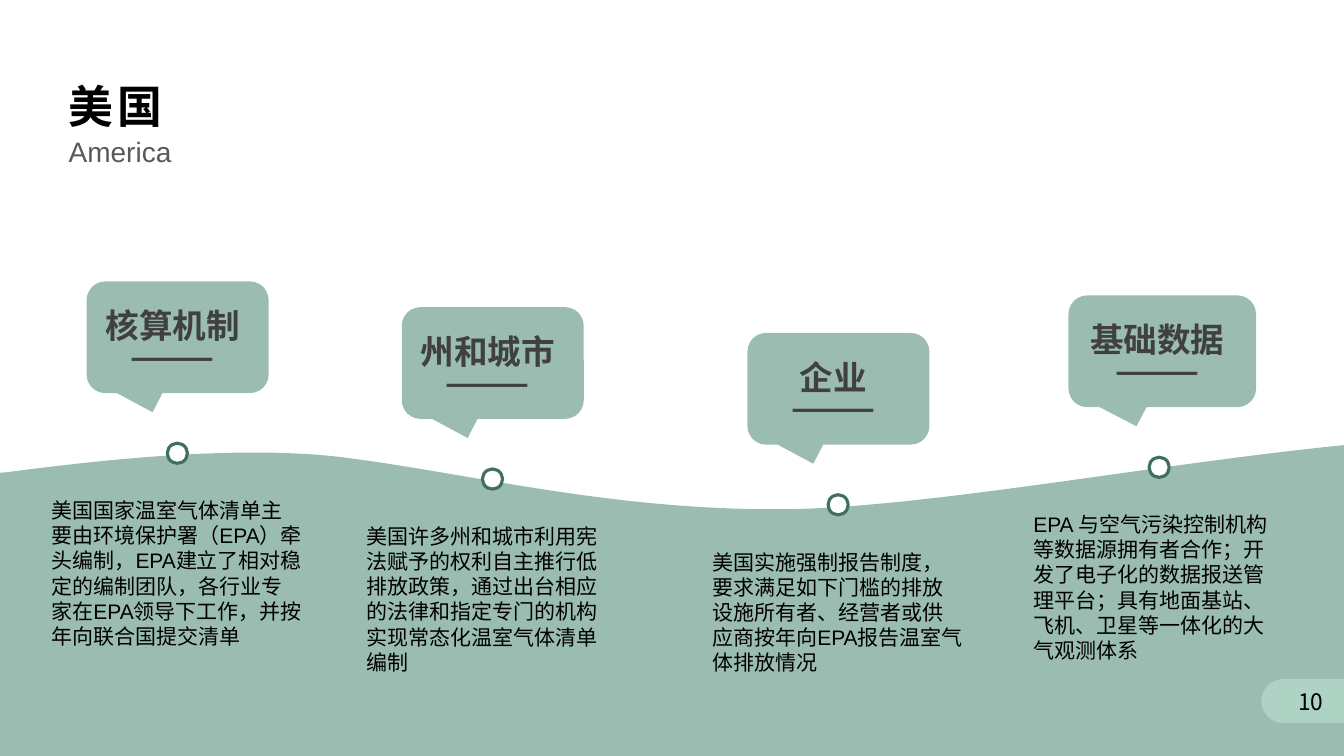
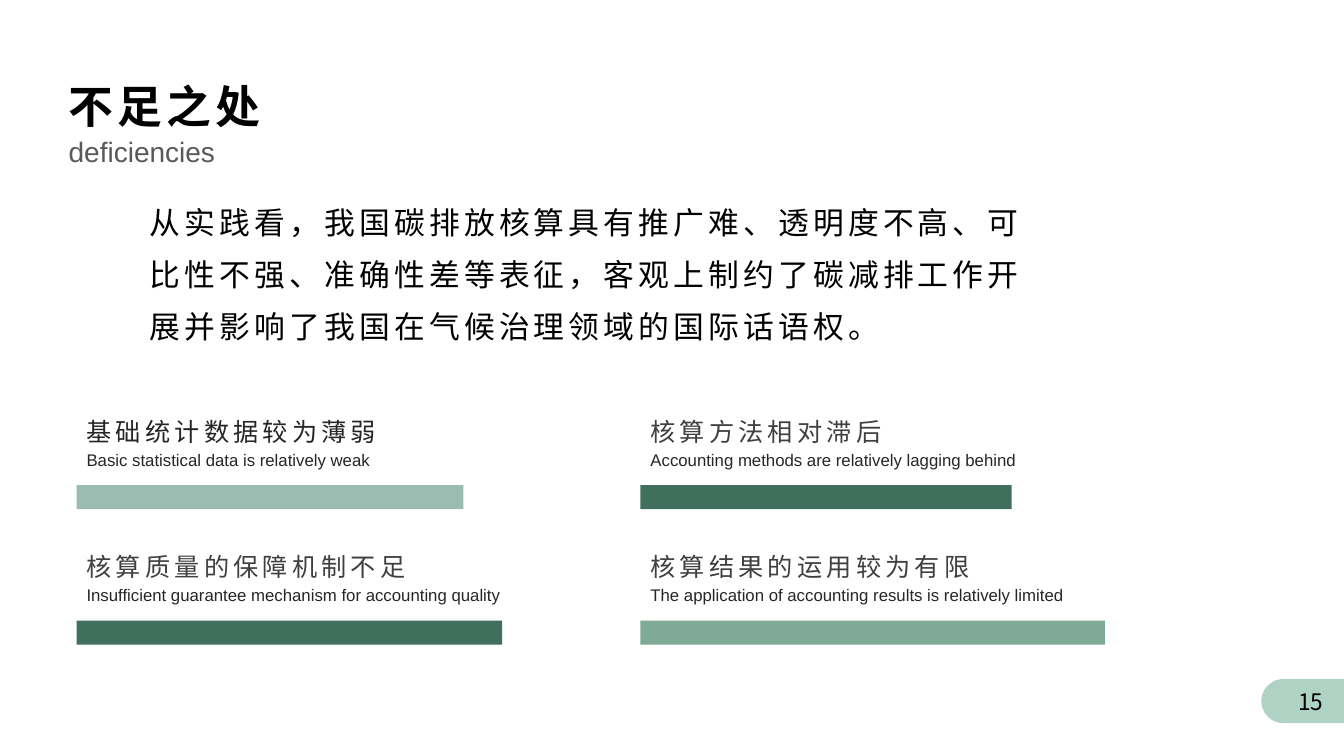
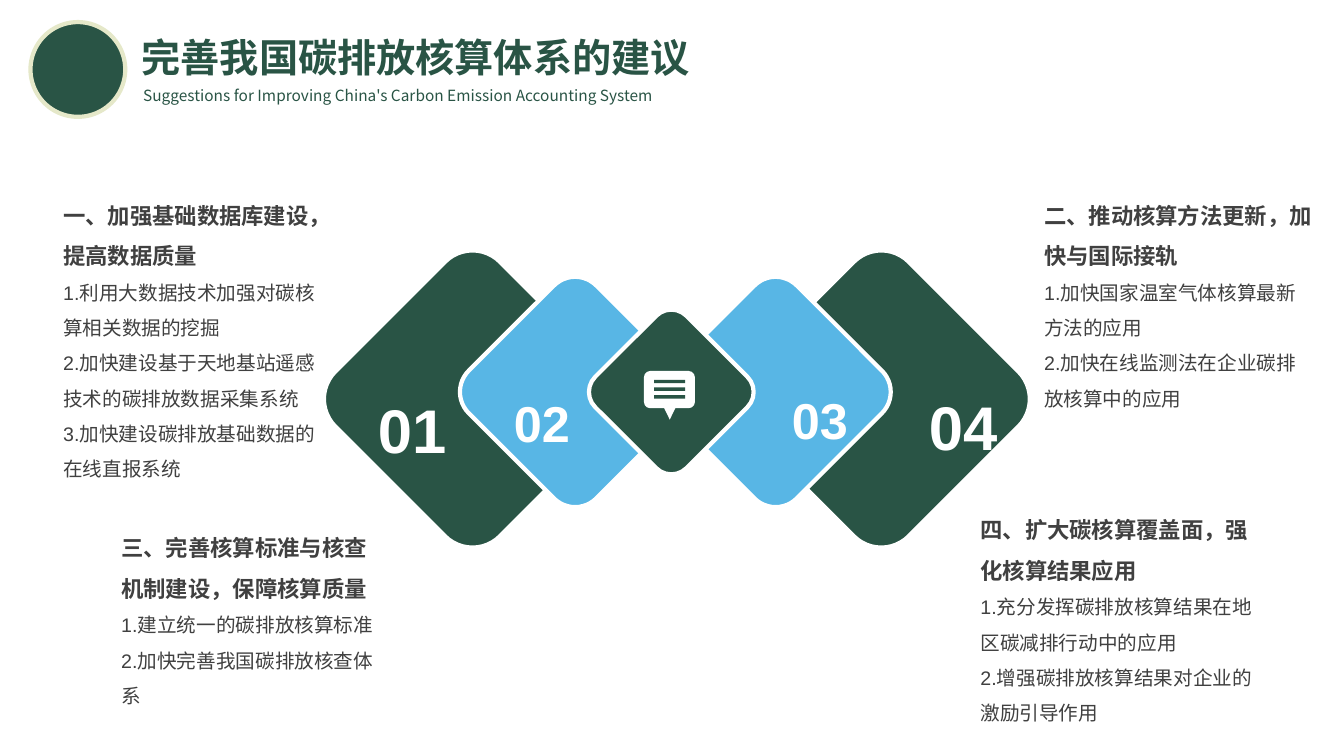
import lxml.etree
import pptx
import pptx.dml.color
import pptx.enum.shapes
import pptx.enum.text
import pptx.oxml.ns
import pptx.util

Pt = pptx.util.Pt
SHAPE = pptx.enum.shapes.MSO_SHAPE
ALIGN = pptx.enum.text.PP_ALIGN
ANCHOR = pptx.enum.text.MSO_ANCHOR

WIDTH, HEIGHT = 960, 540
SAGE, FOREST, MOSS, MINT = "9ABCB1", "40705D", "7FAA98", "AED3C5"
PINE, SKY, CREAM = "295445", "58B6E5", "E5E8C9"
BLACK, INK, GREY, MUTED, WHITE = "000000", "262626", "404040", "595959", "FFFFFF"
SANS, MONO = "Arial", "Courier New"
HAN, HAN_TITLE = "Noto Sans CJK SC", "Noto Sans CJK TC"


def paint(fill, colour):
    fill.solid()
    fill.fore_color.rgb = pptx.dml.color.RGBColor.from_string(colour)


def assign(target, values):
    for name, value in values.items():
        setattr(target, name, value)


def finish(shape, fill, line=None, weight=1):
    shape.shadow.inherit = False
    paint(shape.fill, fill)
    if line:
        paint(shape.line.fill, line)
        shape.line.width = Pt(weight)
    else:
        shape.line.fill.background()
    return shape


def draw(page, kind, box, fill, line=None, weight=1, turn=0, adjust=()):
    shape = page.shapes.add_shape(kind, *[Pt(length) for length in box])
    shape.rotation = turn
    for index, value in enumerate(adjust):
        shape.adjustments[index] = value
    return finish(shape, fill, line, weight)


def fill_text(shape, paras, font=SANS, colour=BLACK, leading=1, fixed=True,
              spread=0, align=ALIGN.LEFT, anchor=ANCHOR.TOP, before=0,
              left=7.2, top=3.6):
    frame = shape.text_frame
    assign(frame, {
        "word_wrap": True, "vertical_anchor": anchor,
        "margin_left": Pt(left), "margin_top": Pt(top),
        "margin_right": Pt(7.2), "margin_bottom": Pt(3.6),
    })
    for index, (text, size, bold) in enumerate(paras):
        para = frame.add_paragraph() if index else frame.paragraphs[0]
        assign(para, {
            "alignment": align, "space_before": Pt(before),
            "line_spacing": Pt(size * 1.2 * leading) if fixed else leading,
        })
        span = para.add_run()
        span.text = text
        assign(span.font, {"name": font, "size": Pt(size), "bold": bold})
        paint(span.font.fill, colour)
        properties = span._r.get_or_add_rPr()
        if spread:
            properties.set("spc", str(spread * 100))
        asian = lxml.etree.SubElement(properties, pptx.oxml.ns.qn("a:ea"))
        asian.set("typeface", font if font == HAN_TITLE else HAN)


def write(page, box, paras, **style):
    fill_text(page.shapes.add_textbox(*[Pt(length) for length in box]), paras, **style)


def add_title(page, left, top, title, subtitle):
    write(page, (left, top, 400, 46), [(title, 32, True)],
          font=HAN_TITLE, spread=3, left=0)
    write(page, (left, top + 42.5, 431, 32), [(subtitle, 20, False)],
          colour=MUTED, leading=0.9, fixed=False, left=0)


def add_page_number(page, right, top, number):
    width, height = 59, 31.5
    draw(page, SHAPE.ROUND_2_SAME_RECTANGLE,
         (right - (width + height) / 2, top - (width - height) / 2, height, width),
         MINT, turn=270, adjust=(0.5, 0))
    write(page, (right - 44.5, top + 2, 36.7, 28.8), [(number, 16.2, False)], font=HAN,
          fixed=False, align=ALIGN.RIGHT, anchor=ANCHOR.MIDDLE)


def add_wave(page):
    start = (-20, 340.5)
    curves = [
        ((22.3, 335.5), (148.3, 316), (240.5, 326.2)),
        ((332, 337), (440, 366.5), (571, 363.6)),
        ((685.4, 360), (860.4, 324.7), (1005, 314)),
    ]
    points = []
    for first, second, end in curves:
        for step in range(41):
            t = step / 40
            weights = ((1 - t) ** 3, 3 * t * (1 - t) ** 2, 3 * t * t * (1 - t), t ** 3)
            knots = (start, first, second, end)
            points.append([sum(weight * knot[axis] for weight, knot in zip(weights, knots))
                           for axis in (0, 1)])
        start = end
    crest = [point for point in points if 0 < point[0] < WIDTH]
    outline = [(0, HEIGHT), (0, 337.7), *crest, (WIDTH, 318), (WIDTH, HEIGHT)]
    corners = [(Pt(x), Pt(y)) for x, y in outline]
    builder = page.shapes.build_freeform(*corners[0], scale=1.0)
    builder.add_line_segments(corners[1:], close=True)
    finish(builder.convert_to_shape(), SAGE)


def add_milestone(page, left, top, heading, body, bubble_width=130):
    write(page, (left - 89.8, top + 35.3, 193.7, 113), [(body, 15, False)])
    draw(page, SHAPE.OVAL, (left, top, 14.4, 14.4), WHITE, FOREST, 2.25)
    bubble = draw(page, SHAPE.ROUNDED_RECTANGULAR_CALLOUT,
                  (left - 57.6, top - 115.6, bubble_width, 79.8), SAGE,
                  adjust=(-0.138, 0.671, 0.167))
    fill_text(bubble, [(heading, 24, True), ("———", 24, True)], font=HAN_TITLE,
              colour=GREY, leading=0.5, align=ALIGN.CENTER, before=7.5, left=0, top=27.5)


def add_shortcoming(page, left, top, heading, caption, width, bar, colour):
    write(page, (left, top, 320, 28.8), [(heading, 18, False)],
          font=MONO, colour=colour, spread=3)
    write(page, (left, top + 23.8, 323, 28.8), [(caption, 12, False)],
          colour=INK, fixed=False)
    draw(page, SHAPE.RECTANGLE, (left, top + 52.8, width, 17.2), bar)


def add_advice(page, left, top, width, height, heading, *points):
    paras = [(heading, 16, True)] + [(point, 14, False) for point in points]
    write(page, (left, top, width, height), paras, colour=GREY, leading=1.5)


def add_round_title(page, left, top, title, subtitle):
    draw(page, SHAPE.OVAL, (left, top, 67.7, 67.7), PINE, CREAM, 3)
    write(page, (left + 72.3, top + 4.3, 460, 41), [(title, 28, True)], colour=PINE)
    write(page, (left + 73.4, top + 42.3, 420, 26), [(subtitle, 11, False)],
          font=HAN, colour=PINE, fixed=False)


def add_bubble_icon(page, left, top):
    draw(page, SHAPE.ISOSCELES_TRIANGLE, (left + 13.7, top + 25, 9.4, 9.7), WHITE, turn=180)
    draw(page, SHAPE.ROUNDED_RECTANGLE, (left, top, 36.4, 26.6), WHITE)
    for row in range(3):
        draw(page, SHAPE.RECTANGLE, (left + 7.2, top + 6.3 + 5.5 * row, 22.2, 2.5), PINE)


def add_diamonds(page, middle, centre):
    diamonds = [
        (150, 5, 166.3, PINE),
        (-142, 5, 166.3, PINE),
        (-68.7, 0, 128.9, SKY),
        (74.5, 0, 128.9, SKY),
        (0, 0, 92.2, PINE),
    ]
    for across, down, side, colour in diamonds:
        draw(page, SHAPE.ROUNDED_RECTANGLE,
             (middle + across - side / 2, centre + down - side / 2, side, side),
             colour, WHITE, 3, turn=45)
    add_bubble_icon(page, middle - 19.5, centre - 15)


def build_america(page):
    add_wave(page)
    add_milestone(page, 119.5, 316.6, "核算机制",
                  "美国国家温室气体清单主要由环境保护署（EPA）牵头编制，EPA建立了相对稳定的编制团队，各行业专家在EPA领导下工作，并按年向联合国提交清单")
    add_milestone(page, 344.6, 335, "州和城市",
                  "美国许多州和城市利用宪法赋予的权利自主推行低排放政策，通过出台相应的法律和指定专门的机构实现常态化温室气体清单编制")
    add_milestone(page, 591.5, 353.4, "企业",
                  "美国实施强制报告制度，要求满足如下门槛的排放设施所有者、经营者或供应商按年向EPA报告温室气体排放情况")
    add_milestone(page, 820.8, 326.6, "基础数据",
                  "EPA 与空气污染控制机构等数据源拥有者合作；开发了电子化的数据报送管理平台；具有地面基站、飞机、卫星等一体化的大气观测体系", 134)
    add_page_number(page, WIDTH, 485, "10")
    add_title(page, 49, 52.5, "美国", "America")


def build_shortcomings(page):
    add_page_number(page, WIDTH, 485, "15")
    shortcomings = [
        ("基础统计数据较为薄弱", "Basic statistical data is relatively weak", 276.3, SAGE, INK),
        ("核算方法相对滞后", "Accounting methods are relatively lagging behind", 265.2, FOREST, GREY),
        ("核算质量的保障机制不足", "Insufficient guarantee mechanism for accounting quality", 304, FOREST, GREY),
        ("核算结果的运用较为有限", "The application of accounting results is relatively limited", 331.7, MOSS, GREY),
    ]
    for index, shortcoming in enumerate(shortcomings):
        row, column = divmod(index, 2)
        add_shortcoming(page, 54.7 + 402.8 * column, 293.7 + 96.8 * row, *shortcoming)
    write(page, (100, 131.5, 646.6, 94.3),
          [("从实践看，我国碳排放核算具有推广难、透明度不高、可比性不强、准确性差等表征，客观上制约了碳减排工作开展并影响了我国在气候治理领域的国际话语权。", 22, False)],
          font=MONO, leading=1.4, spread=3)
    add_title(page, 49, 52.5, "不足之处", "deficiencies")


def build_suggestions(page):
    add_round_title(page, 21.8, 15.8, "完善我国碳排放核算体系的建议",
                    "Suggestions for Improving China's Carbon Emission Accounting System")
    add_diamonds(page, 479.5, 280)
    numbers = [("01", 262.8, 249.8, 44), ("02", 360, 254.9, 36),
               ("03", 558.5, 252.7, 36), ("04", 656.4, 247.7, 44)]
    for number, left, top, size in numbers:
        write(page, (left, top, 76, 77), [(number, size, True)],
              colour=WHITE, leading=1.5, fixed=False)
    add_advice(page, 38, 131, 207.4, 218, "一、加强基础数据库建设，提高数据质量",
               "1.利用大数据技术加强对碳核算相关数据的挖掘",
               "2.加快建设基于天地基站遥感技术的碳排放数据采集系统",
               "3.加快建设碳排放基础数据的在线直报系统")
    add_advice(page, 79.5, 368.6, 205.2, 142, "三、完善核算标准与核查机制建设，保障核算质量",
               "1.建立统一的碳排放核算标准",
               "2.加快完善我国碳排放核查体系")
    add_advice(page, 738.7, 131, 207.4, 167, "二、推动核算方法更新，加快与国际接轨",
               "1.加快国家温室气体核算最新方法的应用",
               "2.加快在线监测法在企业碳排放核算中的应用")
    add_advice(page, 693.2, 355.7, 215.3, 167, "四、扩大碳核算覆盖面，强化核算结果应用",
               "1.充分发挥碳排放核算结果在地区碳减排行动中的应用",
               "2.增强碳排放核算结果对企业的激励引导作用")


def main():
    deck = pptx.Presentation()
    assign(deck, {"slide_width": Pt(WIDTH), "slide_height": Pt(HEIGHT)})
    for build in (build_america, build_shortcomings, build_suggestions):
        build(deck.slides.add_slide(deck.slide_layouts[6]))
    deck.save("out.pptx")


if __name__ == "__main__":
    main()
